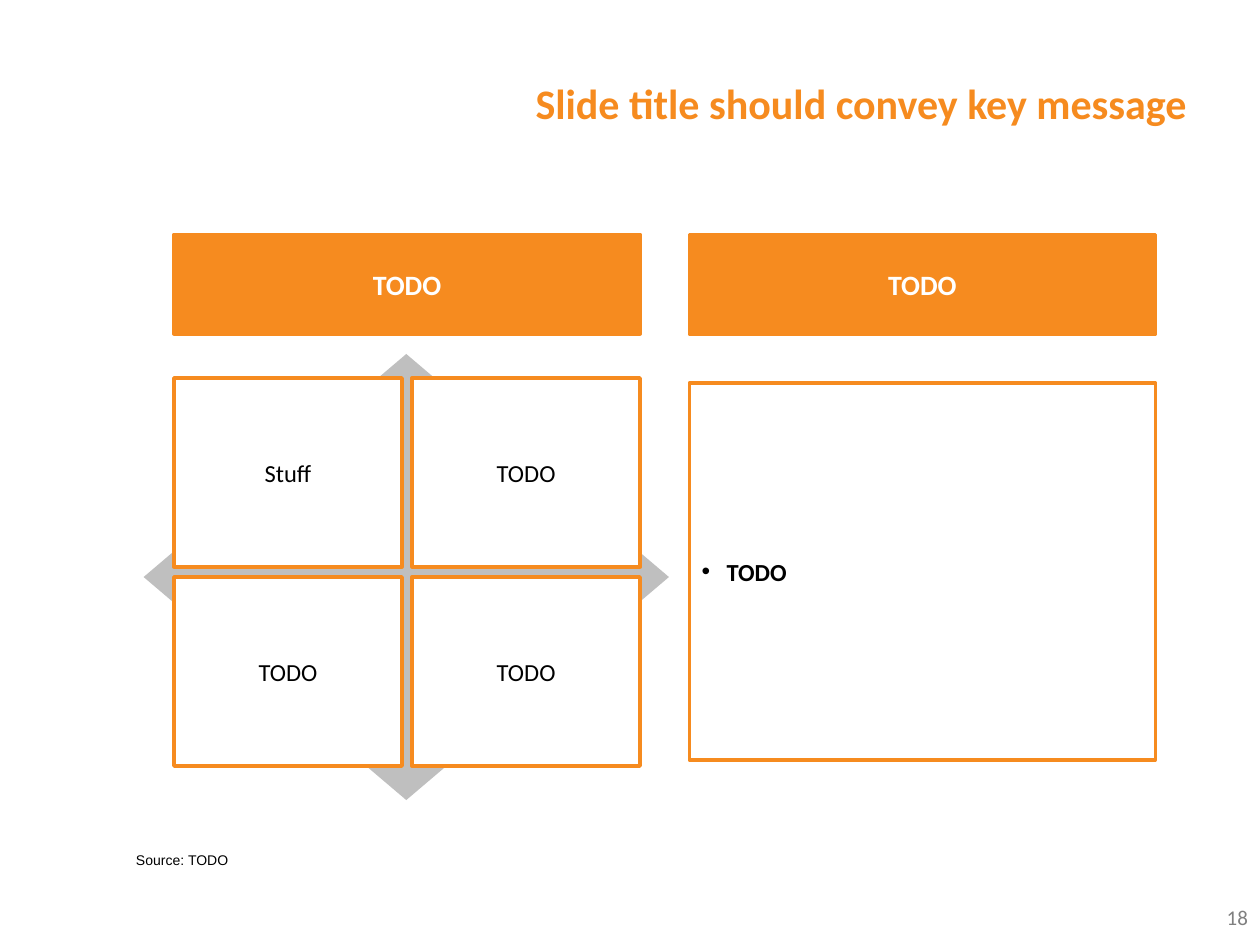
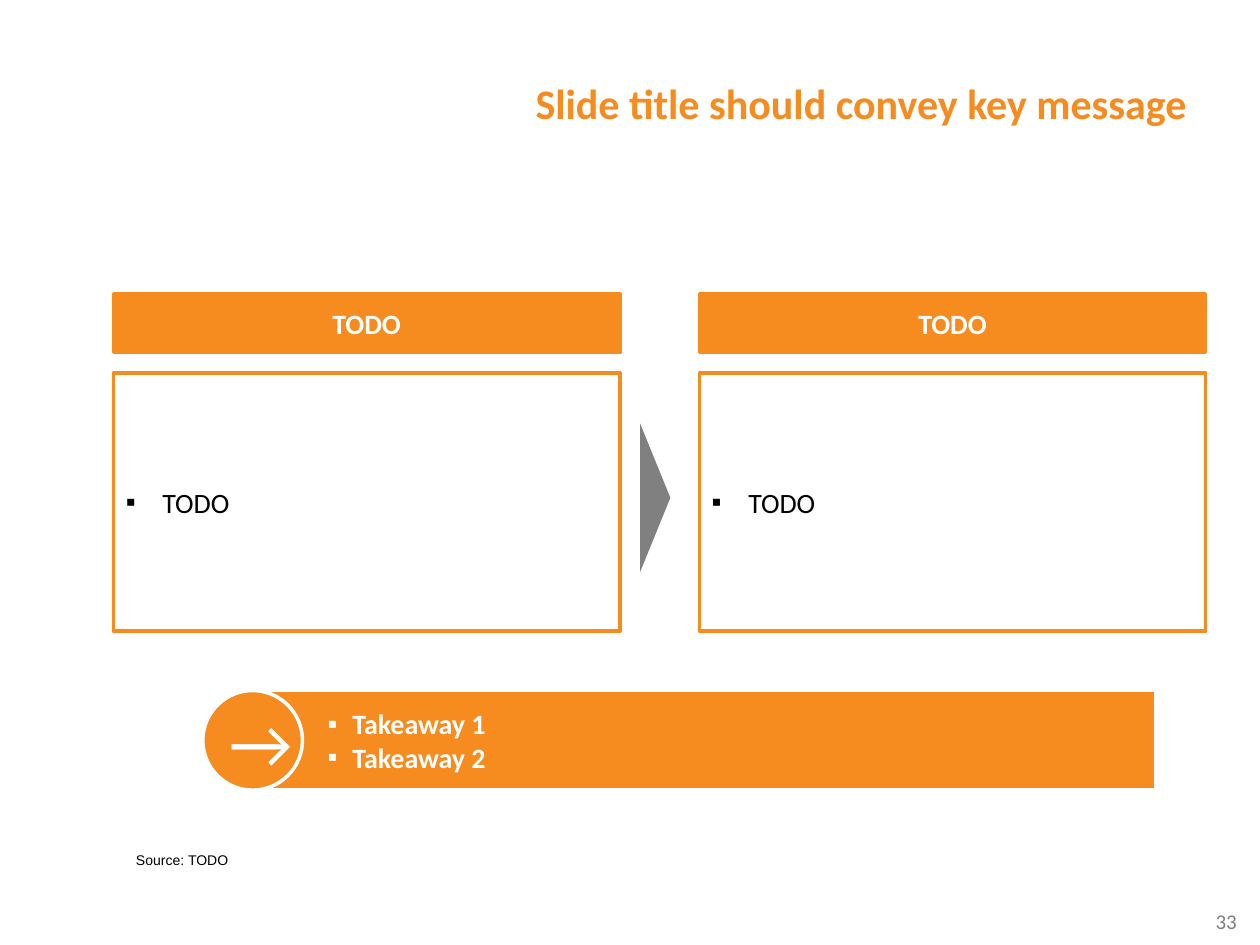
from pptx import Presentation
from pptx.dml.color import RGBColor
from pptx.enum.shapes import MSO_SHAPE
from pptx.enum.text import MSO_ANCHOR, MSO_AUTO_SIZE, PP_ALIGN
from pptx.oxml.ns import qn
from pptx.util import Pt
from lxml import etree

RECT, OVAL = MSO_SHAPE.RECTANGLE, MSO_SHAPE.OVAL
DIAMOND, TRIANGLE = MSO_SHAPE.DIAMOND, MSO_SHAPE.ISOSCELES_TRIANGLE
LEFT, CENTER, RIGHT = PP_ALIGN.LEFT, PP_ALIGN.CENTER, PP_ALIGN.RIGHT
TOP, MIDDLE, BOTTOM = MSO_ANCHOR.TOP, MSO_ANCHOR.MIDDLE, MSO_ANCHOR.BOTTOM
NO_AUTOFIT = MSO_AUTO_SIZE.NONE

COLORS = {"accent": "F68B1F", "white": "FFFFFF", "black": "000000",
          "light": "BFBFBF", "gray": "808080"}
BODY_FONT, SOURCE_FONT = "Calibri", "Arial"

MATRIX = {
    "title": "Slide title should convey key message",
    "headers": ["TODO", "TODO"],
    "quadrants": [["Stuff", "TODO"], ["TODO", "TODO"]],
    "points": ["TODO"],
    "source": "Source: TODO",
    "number": ("18", 552.2, 513.4),
}
COMPARISON = {
    "title": "Slide title should convey key message",
    "columns": [("TODO", ["TODO"]), ("TODO", ["TODO"])],
    "takeaways": ["Takeaway 1", "Takeaway 2"],
    "source": "Source: TODO",
    "number": ("33", 545.8, 515.5),
}


def rgb(name):
    return RGBColor.from_string(COLORS[name])


def add_bullet(p, char, indent):
    pPr = p._p.get_or_add_pPr()
    pPr.set("marL", str(Pt(indent)))
    pPr.set("indent", str(-Pt(indent)))
    etree.SubElement(pPr, qn("a:buFont")).set("typeface", "Arial")
    etree.SubElement(pPr, qn("a:buChar")).set("char", char)


def write(tf, lines, size, color="black", bold=False, align=LEFT, anchor=MIDDLE,
          font=BODY_FONT, bullet=None):
    """Fill a text frame, one paragraph a line; bullet is (character, indent)."""
    tf.word_wrap = True
    tf.vertical_anchor = anchor
    for i, line in enumerate(lines):
        p = tf.paragraphs[0] if i == 0 else tf.add_paragraph()
        p.alignment = align
        if bullet:
            add_bullet(p, *bullet)
        r = p.add_run()
        r.text = line
        r.font.name, r.font.size, r.font.bold = font, Pt(size), bold
        r.font.color.rgb = rgb(color)


def add_shape(shapes, kind, x, y, w, h, fill=None, line=None):
    sp = shapes.add_shape(kind, Pt(x), Pt(y), Pt(w), Pt(h))
    sp.shadow.inherit = False
    if fill:
        sp.fill.solid()
        sp.fill.fore_color.rgb = rgb(fill)
    else:
        sp.fill.background()
    if line:
        sp.line.color.rgb = rgb(line)
        sp.line.width = Pt(2)
    else:
        sp.line.fill.background()
    return sp


def add_header(s, text, x, y, w, h):
    sp = add_shape(s.shapes, RECT, x, y, w, h, "accent", "accent")
    write(sp.text_frame, [text], 16, "white", True, CENTER)


def add_label(s, text, x, y, w, h, size, **style):
    tf = s.shapes.add_textbox(Pt(x), Pt(y), Pt(w), Pt(h)).text_frame
    write(tf, [text], size, anchor=TOP, **style)


def add_slide(prs, content):
    """Add a slide with the shared title, page number and source line."""
    s = prs.slides.add_slide(prs.slide_layouts[5])
    title = s.shapes.title
    title.left, title.top, title.width, title.height = Pt(241.2), Pt(0), Pt(444.2), Pt(77)
    tf = title.text_frame
    tf.auto_size = NO_AUTOFIT
    write(tf, [content["title"]], 24, "accent", True, RIGHT, BOTTOM)
    tf.paragraphs[0].line_spacing = Pt(29)
    number, x, y = content["number"]
    add_label(s, number, x, y, 168, 26.6, 12, color="gray", align=RIGHT)
    add_label(s, content["source"], 70.6, 483.1, 300, 16.6, 8, font=SOURCE_FONT)
    return s


def build_matrix(prs):
    s = add_slide(prs, MATRIX)
    left, width, pitch = 99.4, 266.4, 294.5
    gap, cell_h, top = 5.76, 108, 216
    cell_w = (width - gap) / 2

    add_shape(s.shapes, DIAMOND, 82.1, 202.3, 300.2, 254.9, "light")
    for row, texts in enumerate(MATRIX["quadrants"]):
        for col, text in enumerate(texts):
            sp = add_shape(s.shapes, RECT, left + col * (cell_w + gap),
                           top + row * (cell_h + gap), cell_w, cell_h, "white", "accent")
            write(sp.text_frame, [text], 14, align=CENTER)
    for col, text in enumerate(MATRIX["headers"]):
        add_header(s, text, left + col * pitch, 133.9, width, 56.9)
    panel = add_shape(s.shapes, RECT, left + pitch, 218.9, width, 215.3, "white", "accent")
    write(panel.text_frame, MATRIX["points"], 14, bold=True, bullet=("•", 14.2))


def build_comparison(prs):
    s = add_slide(prs, COMPARISON)
    left, width, pitch = 64.8, 289.4, 334.8
    for col, (header, points) in enumerate(COMPARISON["columns"]):
        x = left + col * pitch
        add_header(s, header, x, 167.8, width, 33.8)
        panel = add_shape(s.shapes, RECT, x, 213.1, width, 147.6, line="accent")
        write(panel.text_frame, points, 16, bullet=("▪", 20.9))
    pointer = add_shape(s.shapes, TRIANGLE, 331.9, 275.8, 85, 17.3, "gray")
    pointer.rotation = 90

    takeaway = s.shapes.add_group_shape().shapes
    top, height = 394.6, 56.9
    bar = add_shape(takeaway, RECT, 144.7, top, 515.5, height, "accent", "white")
    bar.text_frame.margin_left = Pt(42.5)
    write(bar.text_frame, COMPARISON["takeaways"], 16, "white", True, bullet=("▪", 14.2))
    badge = add_shape(takeaway, OVAL, 115.9, top, height, height, "accent", "white")
    write(badge.text_frame, ["→"], 40, "white", align=CENTER)


def main():
    prs = Presentation()
    prs.slide_width, prs.slide_height = Pt(720), Pt(540)
    build_matrix(prs)
    build_comparison(prs)
    prs.save("out.pptx")


if __name__ == "__main__":
    main()
